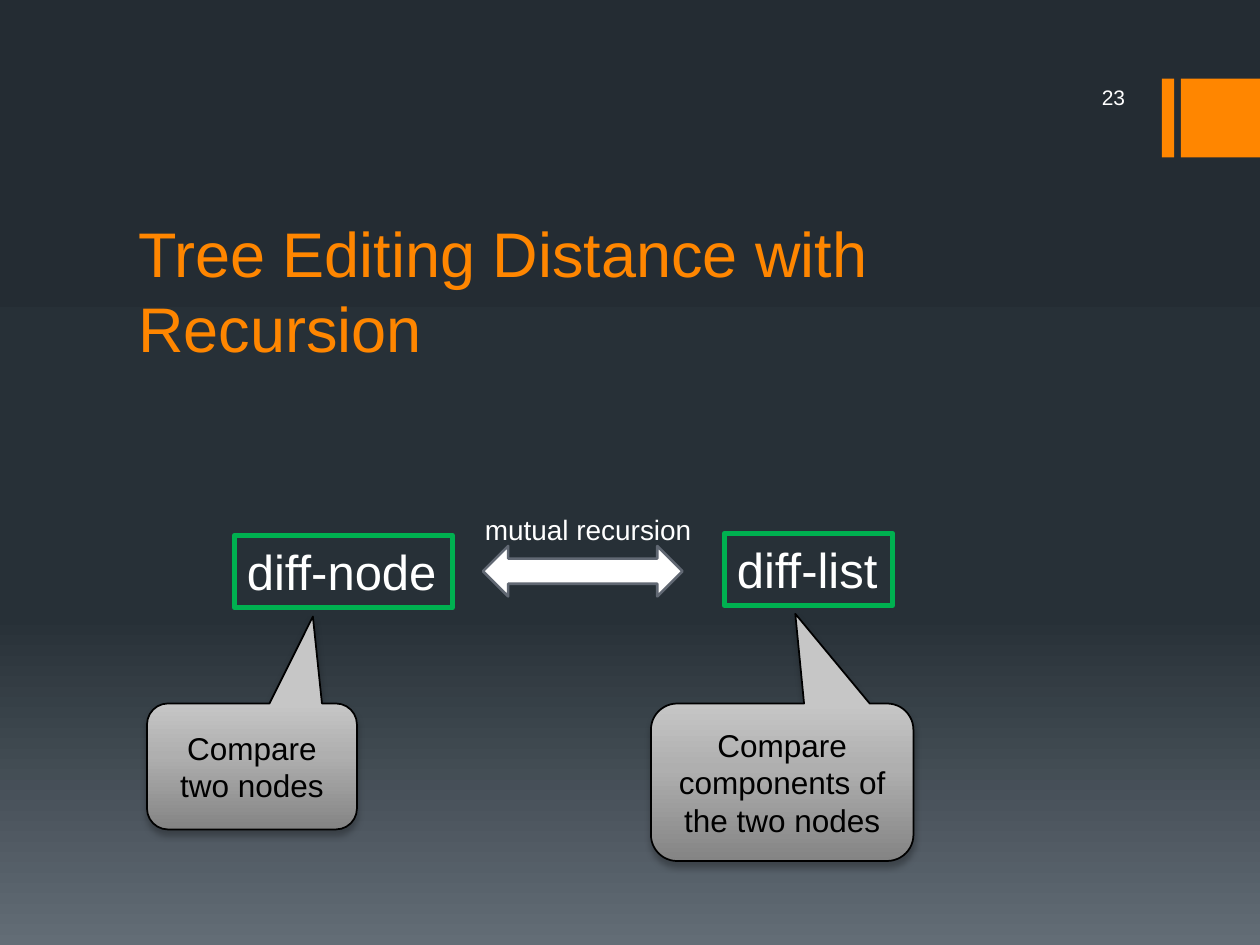
from lxml import etree
from pptx import Presentation
from pptx import util as u
from pptx.dml import color
from pptx.enum import shapes, text
from pptx.oxml import ns

ORANGE, GREEN, WHITE, BLACK = "FF8600", "00B050", "FFFFFF", "000000"
NIGHT = [(0, "242C33"), (65, "273037"), (100, "636D76")]
SILVER = [(0, "C6C6C6"), (41, "AFAFAF"), (100, "848484")]
SHAPE, ALIGN, ANCHOR = shapes.MSO_SHAPE, text.PP_ALIGN, text.MSO_ANCHOR


def rgb(value):
    return color.RGBColor.from_string(value)


def sub(parent, tag, **attrs):
    return etree.SubElement(parent, ns.qn(tag), attrs)


class Deck:
    """Draws styled elements, measured in points, on the current slide."""

    font = "Arial"

    def __init__(self, width, height):
        self.prs = Presentation()
        self.prs.slide_width, self.prs.slide_height = u.Pt(width), u.Pt(height)
        self.s = None

    def slide(self, stops):
        self.s = self.prs.slides.add_slide(self.prs.slide_layouts[6])
        self.gradient(self.s.background.fill, self.s._element, stops)

    def gradient(self, fill, element, stops):
        fill.gradient()
        grad = element.find(".//" + ns.qn("a:gradFill"))
        for child in list(grad):
            grad.remove(child)
        gs_list = sub(grad, "a:gsLst")
        for pos, value in stops:
            gs = sub(gs_list, "a:gs", pos=str(pos * 1000))
            sub(gs, "a:srgbClr", val=value)
        sub(grad, "a:lin", ang="5400000", scaled="0")

    def set_text(self, sp, words, size, value, align=ALIGN.LEFT, anchor=ANCHOR.TOP, wrap=True):
        tf = sp.text_frame
        tf.text = words
        tf.word_wrap, tf.vertical_anchor = wrap, anchor
        p = tf.paragraphs[0]
        p.alignment = align
        f = p.runs[0].font
        f.name, f.size, f.color.rgb = self.font, u.Pt(size), rgb(value)

    def shape(self, kind, box, fill=None, line=None, weight=1):
        sp = self.s.shapes.add_shape(kind, *map(u.Pt, box))
        sp.shadow.inherit = False
        if fill:
            sp.fill.solid()
            sp.fill.fore_color.rgb = rgb(fill)
        else:
            sp.fill.background()
        if line:
            sp.line.color.rgb, sp.line.width = rgb(line), u.Pt(weight)
        else:
            sp.line.fill.background()
        return sp

    def label(self, box, words, size, value=WHITE, **layout):
        sp = self.s.shapes.add_textbox(*map(u.Pt, box))
        self.set_text(sp, words, size, value, **layout)

    def function(self, box, words):
        sp = self.shape(SHAPE.RECTANGLE, box, line=GREEN, weight=3)
        self.set_text(sp, words, 28, WHITE, wrap=False)

    def callout(self, box, words, tip):
        sp = self.shape(SHAPE.ROUNDED_RECTANGULAR_CALLOUT, box, line=BLACK)
        sp.adjustments[0], sp.adjustments[1] = tip
        self.gradient(sp.fill, sp._element, SILVER)
        effects = sp._element.spPr.find(ns.qn("a:effectLst"))
        shadow = sub(effects, "a:outerShdw", blurRad=str(u.Pt(4)), dist=str(u.Pt(3)),
                     dir="5400000", rotWithShape="0")
        sub(sub(shadow, "a:srgbClr", val=BLACK), "a:alpha", val="28000")
        self.set_text(sp, words, 18, BLACK, ALIGN.CENTER, ANCHOR.MIDDLE)


def main():
    d = Deck(720, 540)
    d.slide(NIGHT)
    for left, width in ((664, 7), (674.8, 45.2)):
        d.shape(SHAPE.RECTANGLE, (left, 45, width, 45), ORANGE)
    d.label((72, 121.5, 576, 91), "Tree Editing Distance with Recursion", 36, ORANGE,
            anchor=ANCHOR.BOTTOM)
    d.shape(SHAPE.LEFT_RIGHT_ARROW, (276, 312, 114, 28.8), WHITE, "616873", 1.5)
    d.function((134, 306, 124.6, 41.2), "diff-node")
    d.function((414, 304.8, 96, 41.2), "diff-list")
    d.label((270, 289.5, 134, 26.6), "mutual recursion", 16, wrap=False)
    d.callout((84, 402, 120, 72), "Compare two nodes", (0.29, -1.19))
    d.callout((372, 402, 150, 90), "Compare components of the two nodes", (0.05, -1.07))
    d.label((576, 43.5, 74, 24), "23", 12, align=ALIGN.RIGHT, anchor=ANCHOR.MIDDLE)
    d.prs.save("out.pptx")


if __name__ == "__main__":
    main()
